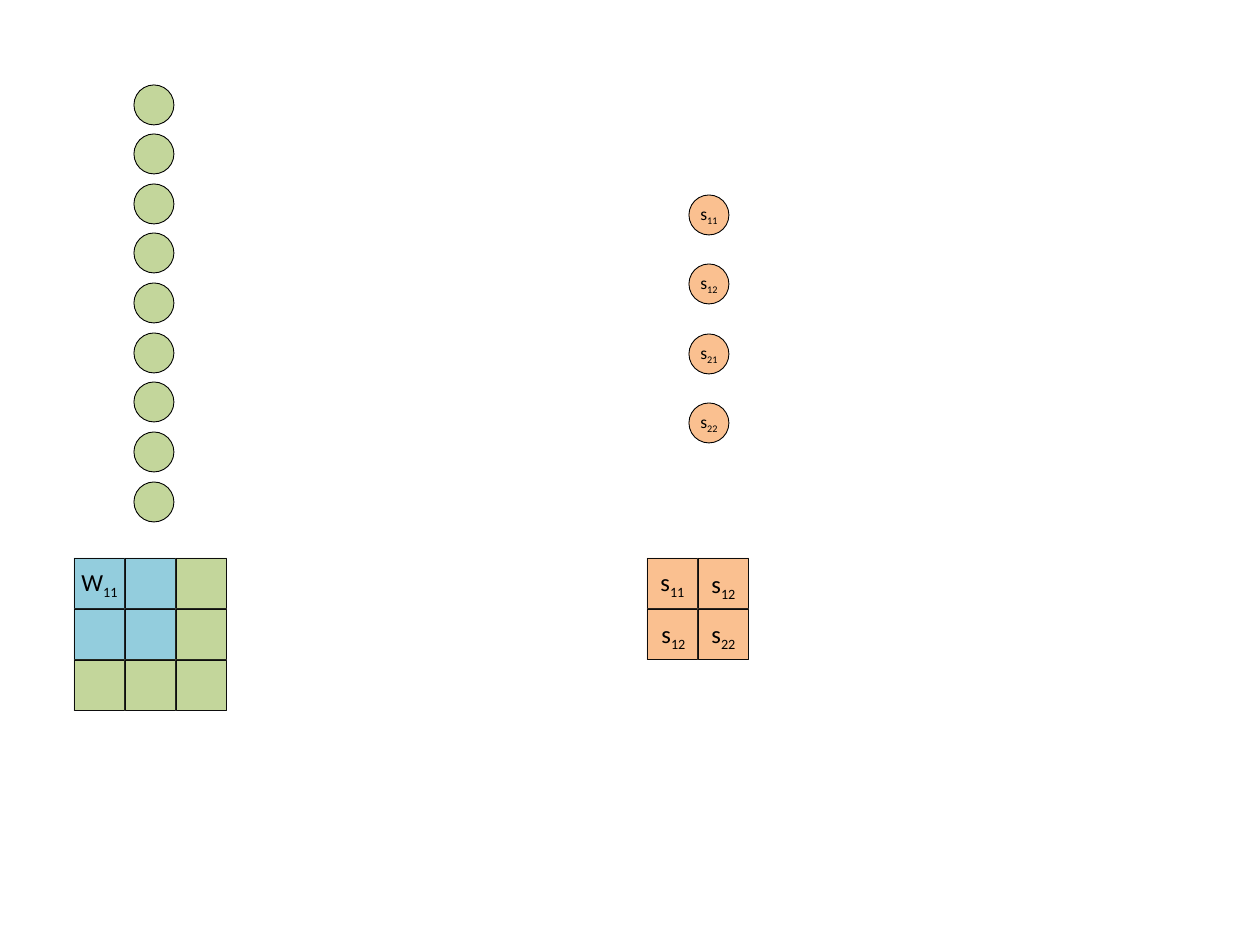
from pptx import Presentation
from pptx.dml.color import RGBColor
from pptx.enum.shapes import MSO_SHAPE
from pptx.enum.text import MSO_ANCHOR, PP_ALIGN
from pptx.util import Inches, Pt

OVAL, RECT = MSO_SHAPE.OVAL, MSO_SHAPE.RECTANGLE
MIDDLE, CENTER = MSO_ANCHOR.MIDDLE, PP_ALIGN.CENTER

GREEN = RGBColor(0xC3, 0xD6, 0x9B)
BLUE = RGBColor(0x93, 0xCD, 0xDD)
ORANGE = RGBColor(0xFA, 0xC0, 0x90)
BLACK = RGBColor(0x00, 0x00, 0x00)
DARK = RGBColor(0x0D, 0x0D, 0x0D)

CIRCLE, CELL = 40, 51


def px(n):
    return Inches(n / 126)


def add_node(shapes, kind, x, y, size, fill, line):
    sp = shapes.add_shape(kind, px(x), px(y), px(size), px(size))
    sp.shadow.inherit = False
    sp.fill.solid()
    sp.fill.fore_color.rgb = fill
    sp.line.color.rgb = line
    sp.line.width = Pt(0.5)
    return sp


def add_label(sp, letter, index, size, left=0, top=0):
    tf = sp.text_frame
    tf.margin_left, tf.margin_top = px(left), px(top)
    tf.margin_right = tf.margin_bottom = 0
    tf.vertical_anchor = MIDDLE
    p = tf.paragraphs[0]
    p.alignment = CENTER
    p.font.name = "Calibri"
    p.font.size = Pt(size)
    p.font.color.rgb = BLACK
    p.add_run().text = letter
    r = p.add_run()
    r.text = index
    r.font._element.set("baseline", "-25000")


prs = Presentation()
prs.slide_width, prs.slide_height = Inches(10), Inches(7.5)
s = prs.slides.add_slide(prs.slide_layouts[6])

# Input column: nine circles spread evenly over 397 px
for i in range(9):
    add_node(s.shapes, OVAL, 134, 85 + 397 * i // 8, CIRCLE, GREEN, BLACK)

# Input grid, with the 2 x 2 window in blue
grid = s.shapes.add_group_shape()
for row in range(3):
    for col in range(3):
        fill = BLUE if row < 2 and col < 2 else GREEN
        sp = add_node(grid.shapes, RECT, 74 + CELL * col, 558 + CELL * row,
                      CELL, fill, DARK)
        if row == col == 0:
            add_label(sp, "W", "11", 14)

# Output column: four circles, 69.5 px apart
for i, index in enumerate(["11", "12", "21", "22"]):
    sp = add_node(s.shapes, OVAL, 689, 195 + 139 * i // 2, CIRCLE, ORANGE, BLACK)
    add_label(sp, "s", index, 10)

# Output grid: index, left inset, top inset
OUTPUTS = [("11", 0, 0), ("12", 0, 5), ("12", 2, 3), ("22", 0, 3)]
grid = s.shapes.add_group_shape()
for i, (index, left, top) in enumerate(OUTPUTS):
    row, col = divmod(i, 2)
    sp = add_node(grid.shapes, RECT, 647 + CELL * col, 558 + CELL * row,
                  CELL, ORANGE, DARK)
    add_label(sp, "s", index, 14, left, top)

prs.save("out.pptx")
